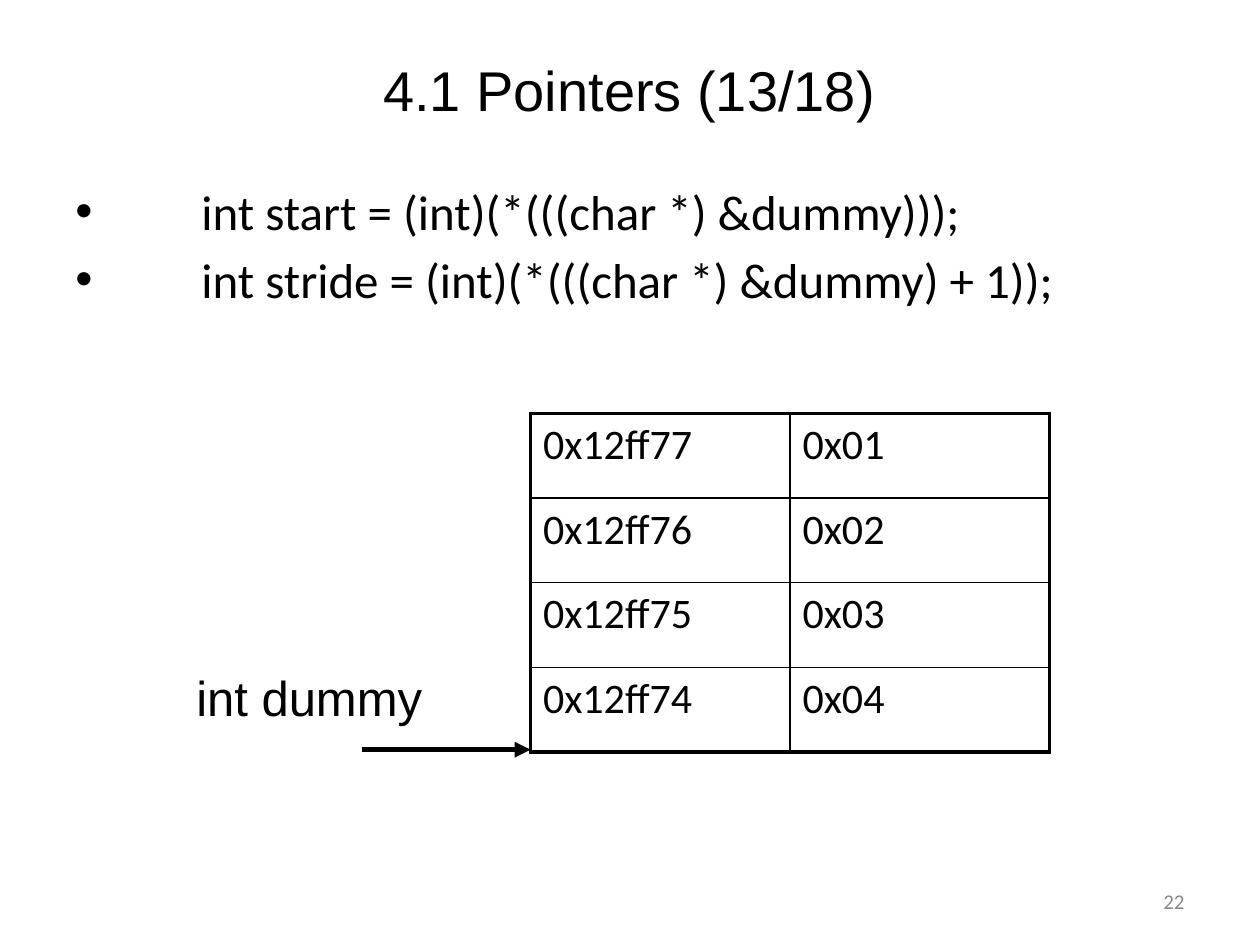
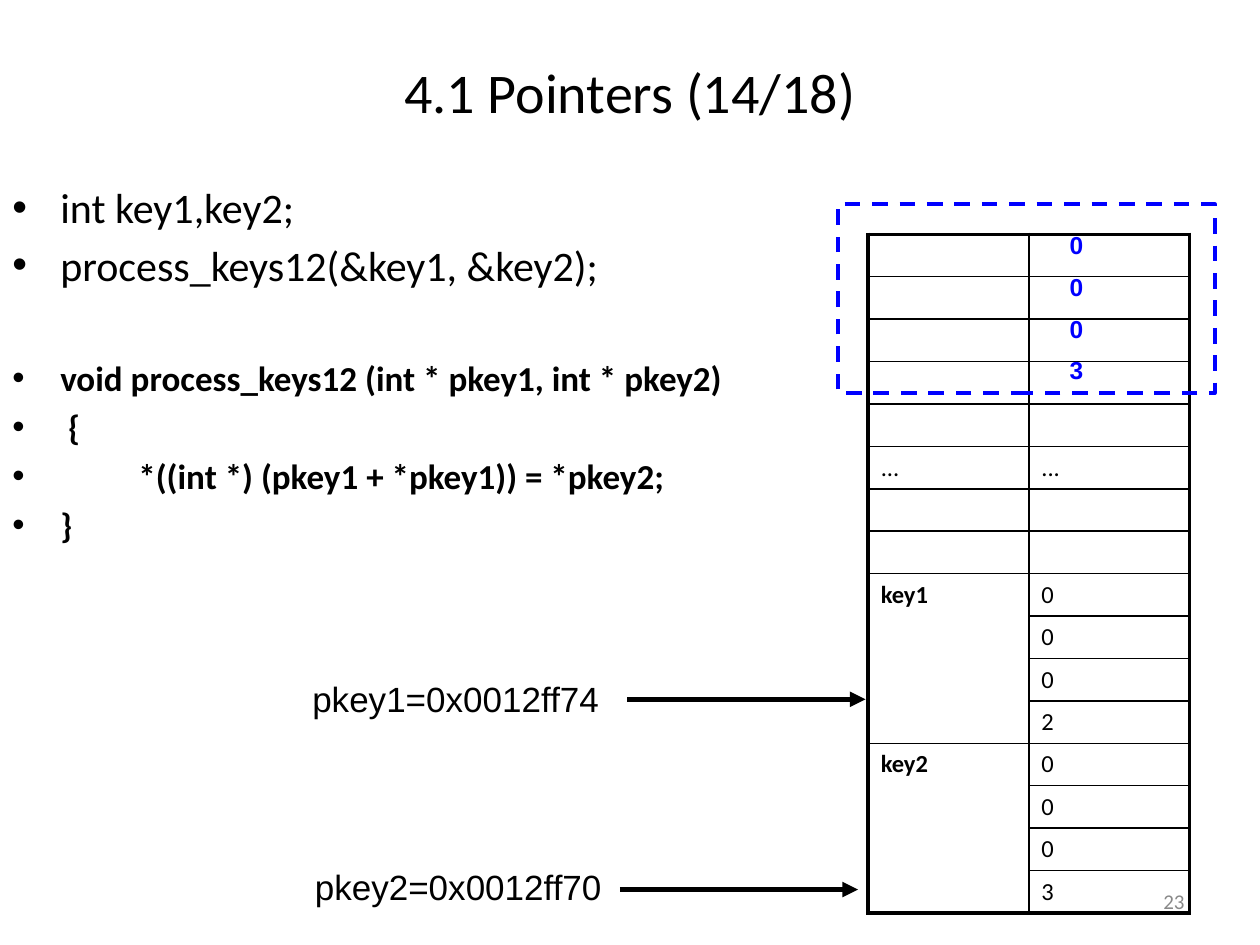
from pptx import Presentation
from pptx.dml.color import RGBColor
from pptx.enum.dml import MSO_LINE
from pptx.enum.shapes import MSO_CONNECTOR, MSO_SHAPE
from pptx.enum.text import MSO_ANCHOR, PP_ALIGN
from pptx.oxml.ns import qn
from pptx.util import Inches, Pt
from lxml import etree

BLACK = RGBColor(0x00, 0x00, 0x00)
GREY = RGBColor(0x89, 0x89, 0x89)
BLUE = RGBColor(0x00, 0x00, 0xFF)
LEFT, CENTER, RIGHT = PP_ALIGN.LEFT, PP_ALIGN.CENTER, PP_ALIGN.RIGHT
TOP, MIDDLE = MSO_ANCHOR.TOP, MSO_ANCHOR.MIDDLE
STRAIGHT = MSO_CONNECTOR.STRAIGHT
RECT = MSO_SHAPE.RECTANGLE
DASH = MSO_LINE.DASH
THIN, THICK = Pt(1), Pt(2.25)


def write(slide, box, lines, size, font, color=BLACK, bold=False,
          align=LEFT, anchor=TOP, gap=0):
    frame = slide.shapes.add_textbox(*map(Inches, box)).text_frame
    frame.word_wrap = True
    frame.vertical_anchor = anchor
    for i, line in enumerate(lines):
        para = frame.paragraphs[0] if i == 0 else frame.add_paragraph()
        para.text = line
        para.alignment = align
        para.space_before = Pt(gap if i else 0)
        face = para.runs[0].font
        face.name, face.size, face.bold = font, Pt(size), bold
        face.color.rgb = color
    return frame.paragraphs


def grid(slide, box, rows, size, spans=()):
    count = len(rows)
    table = slide.shapes.add_table(count, 2, *map(Inches, box)).table
    table.first_row = table.horz_banding = False
    for top, end in spans:
        table.cell(top, 0).merge(table.cell(end, 0))
    for r, row in enumerate(rows):
        for c, text in enumerate(row):
            cell = table.cell(r, c)
            para = cell.text_frame.paragraphs[0]
            if text:
                para.text = text
                face = para.runs[0].font
                face.name, face.size = "Calibri", Pt(size)
                face.bold = text.startswith("key")
                face.color.rgb = BLACK
            else:
                mark = para._p.get_or_add_endParaRPr()
                mark.set("sz", str(size * 100))
            if not cell.is_spanned:
                outer = {"lnL": c == 0, "lnR": c == 1, "lnT": r == 0,
                         "lnB": r + cell.span_height == count}
                props = cell._tc.get_or_add_tcPr()
                for side, edge in outer.items():
                    line = etree.SubElement(props, qn("a:" + side),
                                            w=str(THICK if edge else THIN))
                    fill = etree.SubElement(line, qn("a:solidFill"))
                    etree.SubElement(fill, qn("a:srgbClr"), val=str(BLACK))
            cell.fill.background()


prs = Presentation()
prs.slide_width, prs.slide_height = Inches(10), Inches(7.5)
blank = prs.slide_layouts[6]

heads = [
    ("4.1 Pointers (13/18)", (0.27, 0.28, 9.45, 0.85), "Arial", "22"),
    ("4.1 Pointers (14/18)", (0, 0.3, 10, 0.85), "Calibri", "23"),
]
for title, box, font, page in heads:
    slide = prs.slides.add_slide(blank)
    write(slide, (7.17, 6.95, 2.33, 0.4), [page], 12, "Calibri", GREY,
          align=RIGHT, anchor=MIDDLE)
    write(slide, box, [title], 32, font, align=CENTER, anchor=MIDDLE)
bytes_slide, keys_slide = prs.slides

casts = write(bytes_slide, (0.5, 1.39, 9, 5.31), [
    "\tint start = (int)(*(((char *) &dummy)));",
    "\tint stride = (int)(*(((char *) &dummy) + 1));",
], 28, "Calibri", gap=5.1)

code = write(keys_slide, (0, 1.39, 6.81, 5.31), [
    "int key1,key2;",
    "process_keys12(&key1, &key2);",
    "void process_keys12 (int * pkey1, int * pkey2)",
    " {",
    "\t*((int *) (pkey1 + *pkey1)) = *pkey2;",
    "}",
], 24, "Calibri", gap=4.2)
for para in code[2:]:
    para.space_before = Pt(3.9)
    para.runs[0].font.size = Pt(20)
    para.runs[0].font.bold = True
code[2].space_before = Pt(38.5)

for para in casts + code:
    props = para._p.get_or_add_pPr()
    props.set("marL", str(Inches(0.38)))
    props.set("indent", str(Inches(-0.38)))
    etree.SubElement(props, qn("a:buFont"), typeface="Arial")
    etree.SubElement(props, qn("a:buChar"), char="•")
    tabs = etree.SubElement(props, qn("a:tabLst"))
    etree.SubElement(tabs, qn("a:tab"), pos=str(Inches(1)), algn="l")

dummy = [(f"0x12ff7{7 - i}", f"0x0{i + 1}") for i in range(4)]
grid(bytes_slide, (4.21, 3.28, 4.12, 2.69), dummy, 24)

void = ("", "")
stack = [void] * 5 + [("...", "...")] + [void] * 2
for key, value in (("key1", "2"), ("key2", "3")):
    stack += [(key, "0"), ("", "0"), ("", "0"), ("", value)]
grid(keys_slide, (6.89, 1.86, 2.55, 5.39), stack, 14, [(8, 11), (12, 15)])

frame = keys_slide.shapes.add_shape(
    RECT, *map(Inches, (6.65, 1.62, 2.99, 1.5)))
frame.shadow.inherit = False
frame.fill.background()
frame.line.color.rgb = BLUE
frame.line.width = THICK
frame.line.dash_style = DASH
write(keys_slide, (8.39, 1.78, 0.55, 1.4), ["0", "0", "0", "3"], 14, "Arial",
      BLUE, True, gap=7)

marks = [
    (bytes_slide, "int dummy", (1.46, 5.25, 2.44, 0.57), 28, 2.87, 4.21, 5.95),
    (keys_slide, "pkey1=0x0012ff74", (2.38, 5.33, 2.68, 0.44), 20,
     4.98, 6.87, 5.55),
    (keys_slide, "pkey2=0x0012ff70", (2.4, 6.82, 2.68, 0.44), 20,
     4.92, 6.81, 7.06),
]
for slide, label, box, size, start, end, y in marks:
    write(slide, box, [label], size, "Arial")
    arrow = slide.shapes.add_connector(
        STRAIGHT, *map(Inches, (start, y, end, y)))
    arrow.line.color.rgb = BLACK
    arrow.line.width = Pt(3)
    etree.SubElement(arrow.line._get_or_add_ln(), qn("a:tailEnd"),
                     type="triangle")
    etree.SubElement(arrow._element.spPr, qn("a:effectLst"))

prs.save("out.pptx")
